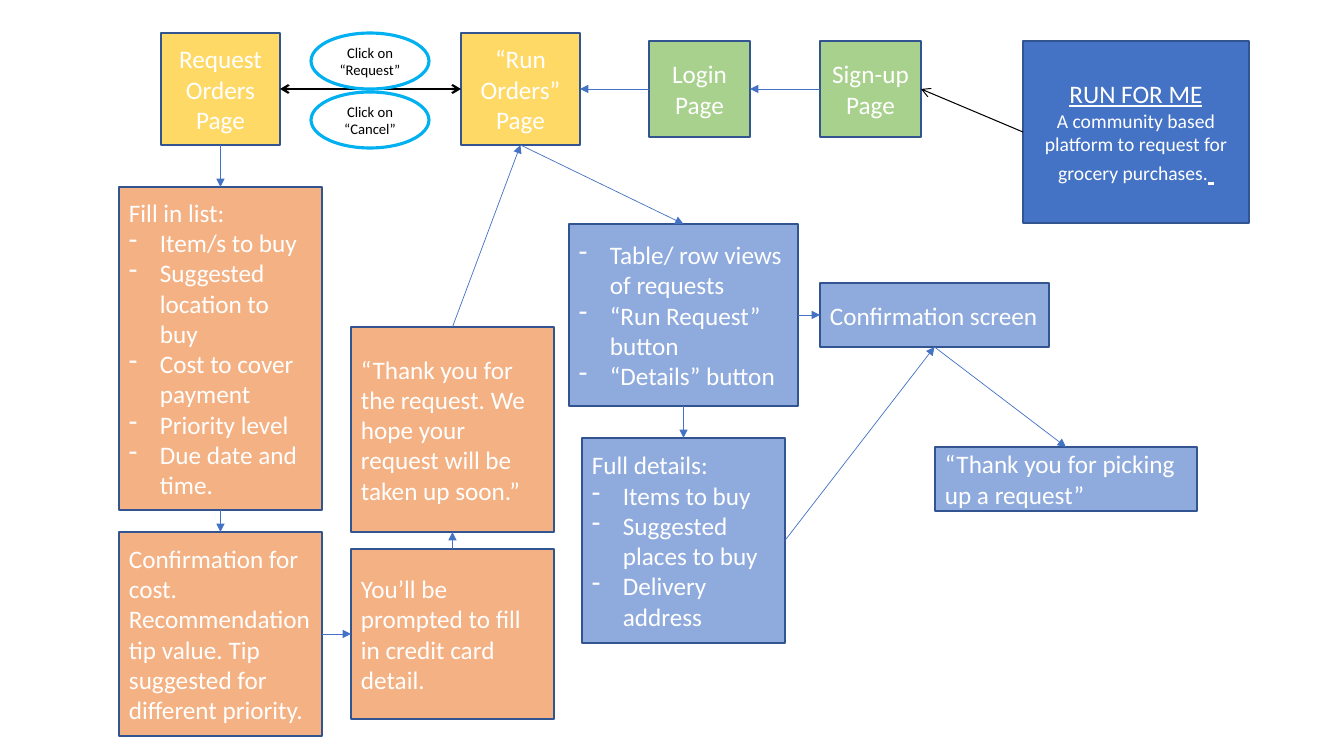
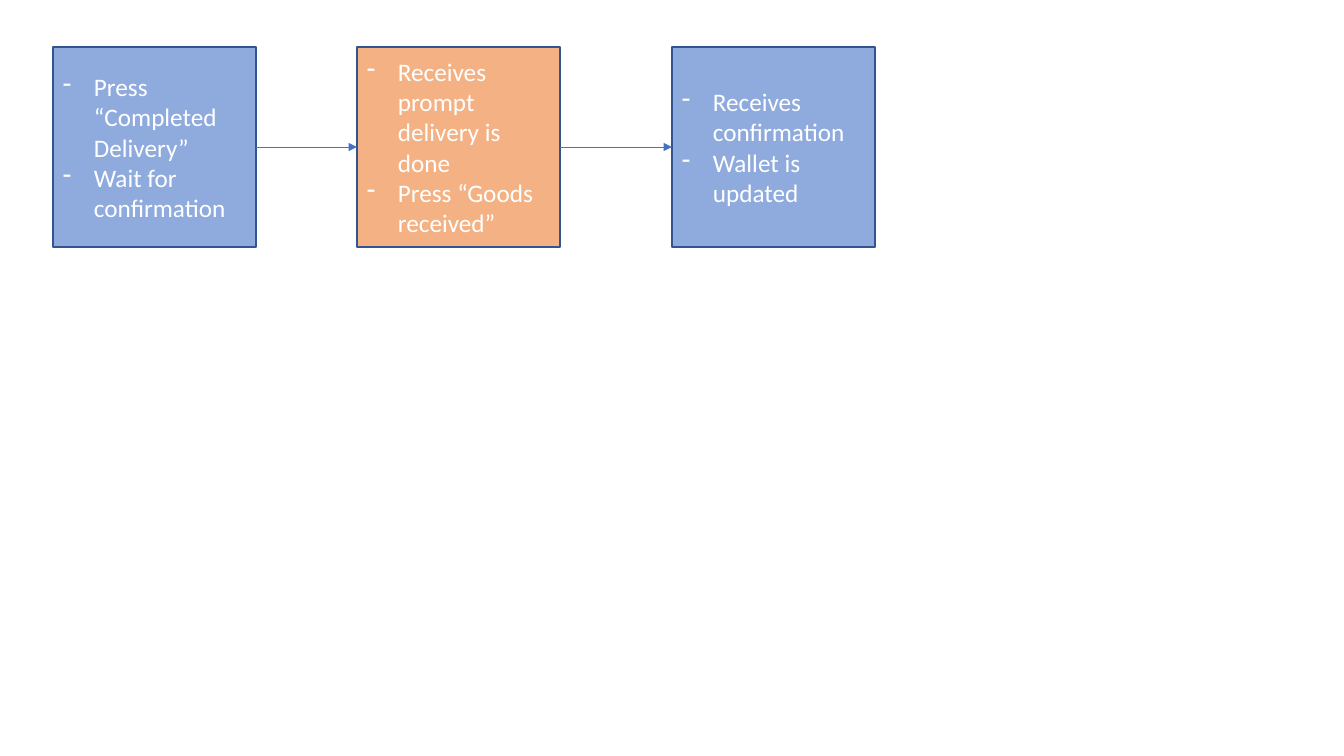
from pptx import Presentation
from pptx.dml.color import RGBColor
from pptx.enum.shapes import MSO_CONNECTOR, MSO_SHAPE
from pptx.enum.text import MSO_ANCHOR, PP_ALIGN
from pptx.oxml.ns import qn
from pptx.util import Pt
from lxml.etree import SubElement

PX = 914400 / 100.8
FONT = "Calibri"
COLORS = {
    "white": "FFFFFF",
    "black": "000000",
    "outline": "325491",
    "arrow": "4472C4",
    "intro": "4472C4",
    "access": "A9D18E",
    "page": "FFD966",
    "requester": "F4B183",
    "runner": "8FAADC",
    "click": "00B0F0",
}
TOP, LEFT, BOTTOM, RIGHT = range(4)
BULLET = "- "
BULLET_INDENT = 31


def px(length):
    """Turn a length in px into EMU."""
    return round(length * PX)


def color(name):
    """Look up a named colour."""
    return RGBColor.from_string(COLORS[name])


def style_paragraph(paragraph, size, font_color, alignment):
    """Set the font and alignment of a whole paragraph."""
    paragraph.alignment = alignment
    paragraph.font.name = FONT
    paragraph.font.size = Pt(size)
    paragraph.font.color.rgb = color(font_color)


def add_dash(paragraph):
    """Give a paragraph a hanging dash bullet."""
    properties = paragraph._p.get_or_add_pPr()
    properties.set("marL", str(px(BULLET_INDENT)))
    properties.set("indent", str(-px(BULLET_INDENT)))
    bullet = properties.makeelement(qn("a:buChar"), {"char": "-"})
    properties.insert_element_before(bullet, "a:tabLst", "a:defRPr", "a:extLst")


def add_node(slide, box, lines, fill=None, preset=MSO_SHAPE.RECTANGLE, line=("outline", 1),
             size=18, font_color="white", alignment=PP_ALIGN.LEFT):
    """Add an outlined shape; lines that start with a dash become bullets."""
    shape = slide.shapes.add_shape(preset, *map(px, box))
    shape.shadow.inherit = False
    if fill:
        shape.fill.solid()
        shape.fill.fore_color.rgb = color(fill)
    else:
        shape.fill.background()
    shape.line.color.rgb = color(line[0])
    shape.line.width = Pt(line[1])
    frame = shape.text_frame
    frame.word_wrap = True
    frame.vertical_anchor = MSO_ANCHOR.MIDDLE
    for index, text in enumerate(lines):
        paragraph = frame.add_paragraph() if index else frame.paragraphs[0]
        paragraph.add_run().text = text.removeprefix(BULLET)
        style_paragraph(paragraph, size, font_color, alignment)
        if text.startswith(BULLET):
            add_dash(paragraph)
    return shape


def add_page(slide, box, text, fill):
    """Add a page box with centred text."""
    return add_node(slide, box, [text], fill, alignment=PP_ALIGN.CENTER)


def add_click(slide, top, text):
    """Add an unfilled oval that names a click."""
    add_node(slide, (311, top, 118, 56), [text], preset=MSO_SHAPE.OVAL, line=("click", 2.25),
             size=10.5, font_color="black", alignment=PP_ALIGN.CENTER)


def add_intro(slide):
    """Add the box that introduces the platform."""
    shape = add_page(slide, (1023, 41, 226, 182), "RUN FOR ME", "intro")
    frame = shape.text_frame
    frame.paragraphs[0].font.underline = True
    summary = frame.add_paragraph()
    style_paragraph(summary, 18, "white", PP_ALIGN.CENTER)
    run = summary.add_run()
    run.text = "A community based platform to request for grocery purchases."
    run.font.size = Pt(14)
    run = summary.add_run()
    run.text = " "
    run.font.underline = True
    return shape


def add_arrow(slide, start, start_side, end, end_side, line_color="arrow", width=0.5,
              tip="triangle", both=False):
    """Join the sides of two shapes with a straight arrow."""
    connector = slide.shapes.add_connector(MSO_CONNECTOR.STRAIGHT, 0, 0, 0, 0)
    connector.begin_connect(start, start_side)
    connector.end_connect(end, end_side)
    connector.line.color.rgb = color(line_color)
    connector.line.width = Pt(width)
    outline = connector.line._get_or_add_ln()
    for tag in ("a:headEnd", "a:tailEnd") if both else ("a:tailEnd",):
        SubElement(outline, qn(tag), type=tip)
    SubElement(connector._element.spPr, qn("a:effectLst"))


def build_request_flow(slide):
    """Draw the pages from sign-up to the placed or accepted request."""
    intro = add_intro(slide)
    login = add_page(slide, (649, 41, 101, 96), "Login Page", "access")
    sign_up = add_page(slide, (820, 41, 101, 96), "Sign-up Page", "access")
    request = add_page(slide, (161, 33, 119, 112), "Request Orders Page", "page")
    run_orders = add_page(slide, (461, 33, 119, 112), "“Run Orders” Page", "page")
    form = add_node(slide, (119, 187, 203, 323), [
        "Fill in list:", "- Item/s to buy", "- Suggested location to buy",
        "- Cost to cover payment", "- Priority level", "- Due date and time."], "requester")
    cost = add_node(slide, (119, 532, 203, 204), [
        "Confirmation for cost. Recommendation tip value. "
        "Tip suggested for different priority."], "requester")
    card = add_node(slide, (351, 549, 203, 170), [
        "You’ll be prompted to fill in credit card detail."], "requester")
    requested = add_node(slide, (351, 327, 203, 205), [
        "“Thank you for the request. We hope your request will be taken up soon.”"], "requester")
    views = add_node(slide, (569, 224, 229, 182), [
        "- Table/ row views of requests", "- “Run Request” button",
        "- “Details” button"], "runner")
    details = add_node(slide, (582, 438, 203, 205), [
        "Full details:", "- Items to buy", "- Suggested places to buy",
        "- Delivery address"], "runner")
    confirmation = add_node(slide, (820, 283, 229, 64), ["Confirmation screen"], "runner")
    picked = add_node(slide, (935, 447, 262, 64), [
        "“Thank you for picking up a request”"], "runner")

    add_arrow(slide, run_orders, LEFT, request, RIGHT, "black", 1.5, "arrow", both=True)
    add_arrow(slide, intro, LEFT, sign_up, RIGHT, "black", 0.75, "arrow")
    for link in (
        (sign_up, LEFT, login, RIGHT),
        (login, LEFT, run_orders, RIGHT),
        (request, BOTTOM, form, TOP),
        (form, BOTTOM, cost, TOP),
        (cost, RIGHT, card, LEFT),
        (card, TOP, requested, BOTTOM),
        (requested, TOP, run_orders, BOTTOM),
        (run_orders, BOTTOM, views, TOP),
        (views, BOTTOM, details, TOP),
        (views, RIGHT, confirmation, LEFT),
        (details, RIGHT, confirmation, BOTTOM),
        (confirmation, BOTTOM, picked, TOP),
    ):
        add_arrow(slide, *link)
    add_click(slide, 33, "Click on “Request”")
    add_click(slide, 92, "Click on “Cancel”")


def build_delivery_flow(slide):
    """Draw the steps that close a delivery."""
    steps = [
        add_node(slide, (left, 47, 203, 200), lines, fill)
        for left, fill, lines in (
            (53, "runner", ["- Press “Completed Delivery”", "- Wait for confirmation"]),
            (357, "requester", ["- Receives prompt delivery is done",
                                "- Press “Goods received”"]),
            (672, "runner", ["- Receives confirmation", "- Wallet is updated"]),
        )
    ]
    for step, following in zip(steps, steps[1:]):
        add_arrow(slide, step, RIGHT, following, LEFT)


def main():
    """Build and save the presentation."""
    presentation = Presentation()
    presentation.slide_width = px(1344)
    presentation.slide_height = px(756)
    blank = presentation.slide_layouts[6]
    for build in (build_request_flow, build_delivery_flow):
        build(presentation.slides.add_slide(blank))
    presentation.save("out.pptx")


if __name__ == "__main__":
    main()
